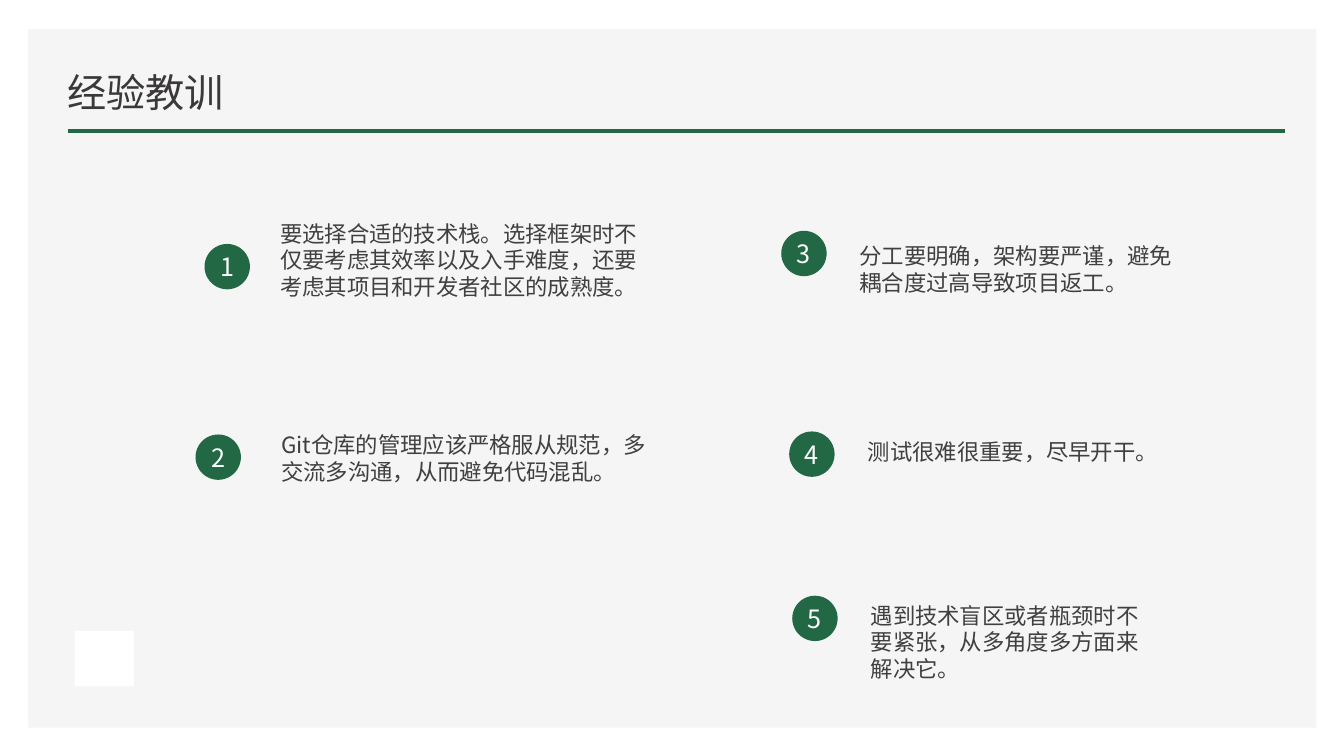
"""Build the lessons-learned slide: a title and five numbered points."""
import pptx
import pptx.util
import pptx.dml.color
import pptx.enum.shapes
import pptx.enum.text
import pptx.oxml.ns
import lxml.etree

FONT = "Noto Sans CJK SC"
GREEN = "226845"
WIDTH, HEIGHT = pptx.util.Inches(13.33), pptx.util.Inches(7.5)
SHAPES = pptx.enum.shapes.MSO_SHAPE
ANCHOR = pptx.enum.text.MSO_ANCHOR

LESSONS = [
    ("1", (15.22, 32.27), (20.1, 28.4, 28.58, 8.13),
     "要选择合适的技术栈。选择框架时不仅要考虑其效率以及入手难度，还要考虑其项目和开发者社区的成熟度。"),
    ("2", (14.55, 57.47), (20.18, 56.4, 29.18, 9.33),
     "Git仓库的管理应该严格服从规范，多交流多沟通，从而避免代码混乱。"),
    ("3", (58.13, 30.53), (63.22, 31.33, 25.88, 5.33),
     "分工要明确，架构要严谨，避免耦合度过高导致项目返工。"),
    ("4", (58.72, 57.07), (63.83, 57.33, 22.05, 5.33),
     "测试很难很重要，尽早开干。"),
    ("5", (58.95, 78.8), (64.05, 78.93, 22.05, 5.33),
     "遇到技术盲区或者瓶颈时不要紧张，从多角度多方面来解决它。"),
]


def rgb(color):
    """Turn a hex string into a colour."""
    return pptx.dml.color.RGBColor.from_string(color)


def place(x, y, w, h):
    """Turn percentages of the slide's size into lengths."""
    return [int(v * side / 100) for v, side in zip((x, y, w, h), (WIDTH, HEIGHT) * 2)]


def write(tf, text, size, color):
    """Write one formatted paragraph and return it."""
    tf.text = text
    p = tf.paragraphs[0]
    r = p.runs[0]
    r.font.size = pptx.util.Pt(size)
    r.font.name = FONT
    r.font.color.rgb = rgb(color)
    ea = lxml.etree.SubElement(r.font._element, pptx.oxml.ns.qn("a:ea"))
    ea.set("typeface", FONT)
    return p


def add_shape(s, kind, box, fill):
    """Add a flat preset shape without a border."""
    sp = s.shapes.add_shape(kind, *place(*box))
    sp.shadow.inherit = False
    sp.fill.solid()
    sp.fill.fore_color.rgb = rgb(fill)
    sp.line.fill.background()
    return sp


def add_text(s, box, text, size, color, anchor=ANCHOR.TOP):
    """Add a wrapping text box and return its paragraph."""
    tf = s.shapes.add_textbox(*place(*box)).text_frame
    tf.word_wrap = True
    tf.vertical_anchor = anchor
    return write(tf, text, size, color)


def add_rule(s, left, right, y):
    """Add the green rule under the title."""
    x1, y1, x2, y2 = place(left, y, right, y)
    line = s.shapes.add_connector(pptx.enum.shapes.MSO_CONNECTOR.STRAIGHT, x1, y1, x2, y2)
    line.line.color.rgb = rgb(GREEN)
    line.line.width = pptx.util.Pt(3)
    lxml.etree.SubElement(line._element.spPr, pptx.oxml.ns.qn("a:effectLst"))


def add_lesson(s, number, spot, box, text):
    """Add a numbered circle and the lesson beside it."""
    tf = add_shape(s, SHAPES.OVAL, (*spot, 3.38, 6), GREEN).text_frame
    tf.margin_left = tf.margin_right = tf.margin_top = tf.margin_bottom = 0
    tf.vertical_anchor = ANCHOR.MIDDLE
    tf.word_wrap = False
    write(tf, number, 18, "FFFFFF").alignment = pptx.enum.text.PP_ALIGN.CENTER
    p = add_text(s, box, text, 16, "404040")
    p.line_spacing = pptx.util.Pt(19.2)


def main():
    """Build and save the slide."""
    prs = pptx.Presentation()
    prs.slide_width, prs.slide_height = WIDTH, HEIGHT
    s = prs.slides.add_slide(prs.slide_layouts[6])
    add_shape(s, SHAPES.RECTANGLE, (2.1, 3.87, 95.85, 92.4), "F5F5F5")
    add_text(s, (4.28, 6.53, 56.4, 9.33), "经验教训", 28, "3B3838", ANCHOR.BOTTOM)
    add_rule(s, 5.03, 95.63, 17.33)
    for lesson in LESSONS:
        add_lesson(s, *lesson)
    add_shape(s, SHAPES.RECTANGLE, (5.55, 83.47, 4.42, 7.33), "FFFFFF")
    prs.save("out.pptx")


if __name__ == "__main__":
    main()
